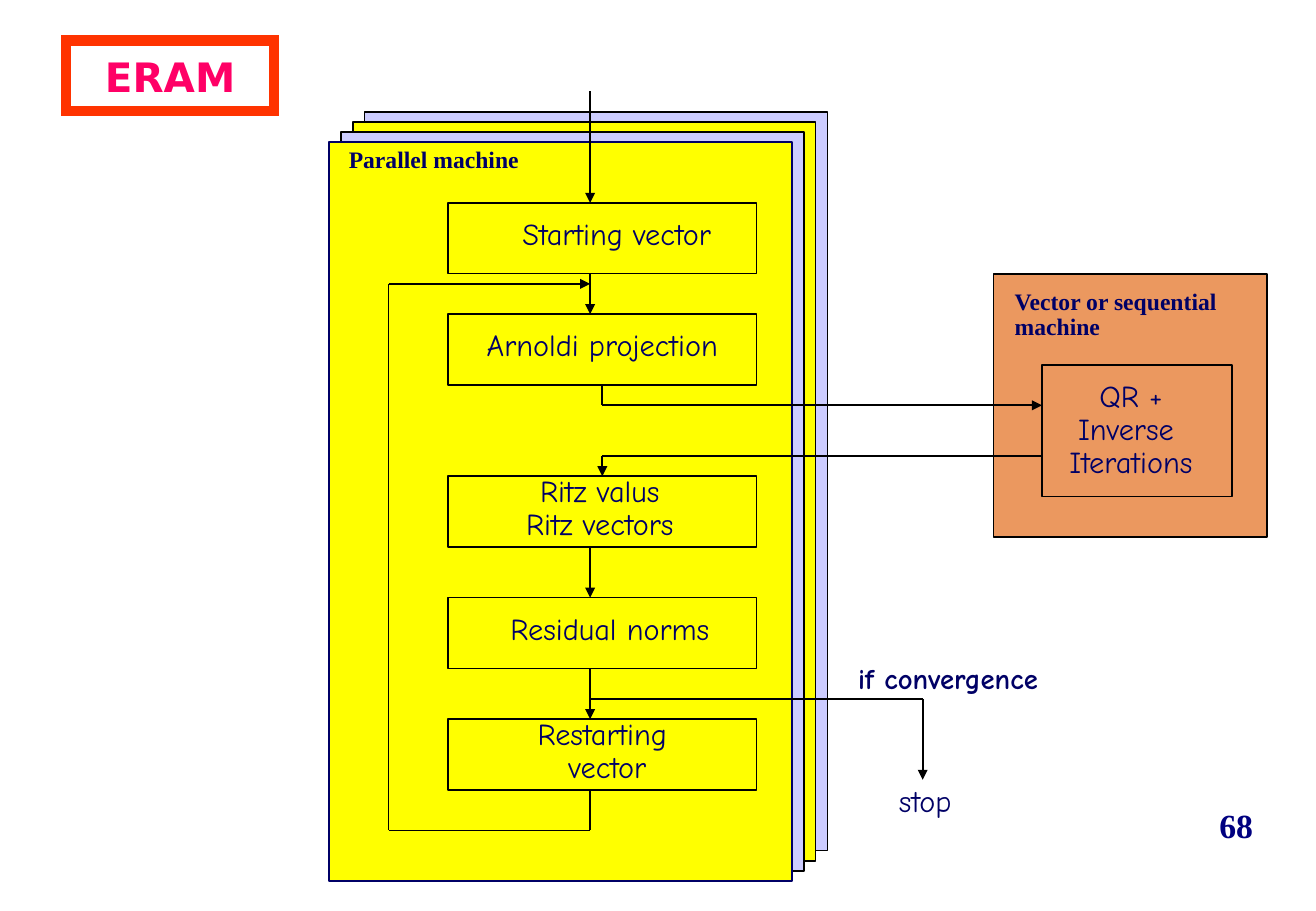
import dataclasses
import itertools

import pptx
import pptx.dml.color
import pptx.enum.shapes
import pptx.enum.text
import pptx.oxml.ns
import pptx.util
from lxml import etree

Pt = pptx.util.Pt
ALIGN = pptx.enum.text.PP_ALIGN
RECTANGLE = pptx.enum.shapes.MSO_SHAPE.RECTANGLE
STRAIGHT = pptx.enum.shapes.MSO_CONNECTOR.STRAIGHT
TOP, BOTTOM = 0, 2


@dataclasses.dataclass(frozen=True)
class Theme:
    black: str = "000000"
    ink: str = "000066"
    number_ink: str = "000080"
    title_ink: str = "FF0066"
    title_frame: str = "FF3300"
    front: str = "FFFF00"
    behind: str = "CCCCFF"
    sequential: str = "EB985F"
    step: dict = dataclasses.field(
        default_factory=lambda: {"name": "Comic Neue", "size": Pt(18)})
    condition: dict = dataclasses.field(
        default_factory=lambda: {"name": "Comic Neue", "size": Pt(17), "bold": True})
    machine: dict = dataclasses.field(
        default_factory=lambda: {"name": "Times New Roman", "size": Pt(14), "bold": True})
    number: dict = dataclasses.field(
        default_factory=lambda: {"name": "Times New Roman", "size": Pt(20), "bold": True})
    title: dict = dataclasses.field(
        default_factory=lambda: {"name": "DejaVu Sans", "size": Pt(24), "bold": True})


@dataclasses.dataclass(frozen=True)
class Box:
    left: float
    top: float
    width: float
    height: float

    def inner(self, dx, dy, width, height):
        return Box(self.left + dx, self.top + dy, width, height)

    def lengths(self):
        return [Pt(value) for value in dataclasses.astuple(self)]


THEME = Theme()


def rgb(code):
    return pptx.dml.color.RGBColor.from_string(code)


def write(shape, text, style, color=THEME.ink, align=ALIGN.CENTER,
          spacing=0.9, insets=(7.2, 3.6, 7.2, 3.6)):
    """Fill the shape with text; insets run left, top, right, bottom."""
    frame = shape.text_frame
    frame.text = text
    frame.word_wrap = True
    frame.auto_size = pptx.enum.text.MSO_AUTO_SIZE.NONE
    frame.vertical_anchor = pptx.enum.text.MSO_ANCHOR.MIDDLE
    for side, inset in zip(("left", "top", "right", "bottom"), insets):
        setattr(frame, f"margin_{side}", Pt(inset))
    for paragraph in frame.paragraphs:
        paragraph.alignment = align
        paragraph.line_spacing = spacing
        for attribute, value in style.items():
            setattr(paragraph.font, attribute, value)
        paragraph.font.color.rgb = rgb(color)


def label(slide, box, text, style, **options):
    write(slide.shapes.add_textbox(*box.lengths()), text, style, **options)


def panel(slide, box, fill=None, line=THEME.black):
    shape = slide.shapes.add_shape(RECTANGLE, *box.lengths())
    shape.shadow.inherit = False
    if fill:
        shape.fill.solid()
        shape.fill.fore_color.rgb = rgb(fill)
    else:
        shape.fill.background()
    shape.line.color.rgb = rgb(line)
    shape.line.width = Pt(1)
    return shape


def step(slide, box, text, shift, lift=3):
    """Outlined box whose text centre moves right by shift, up by half of lift."""
    shape = panel(slide, box)
    write(shape, text, THEME.step,
          insets=(max(2 * shift, 0), 0, max(-2 * shift, 0), lift))
    return shape


def route(slide, *points):
    """Straight segments through the points, with an arrowhead at the last."""
    segments = []
    for start, end in itertools.pairwise(points):
        segment = slide.shapes.add_connector(
            STRAIGHT, *(Pt(value) for value in (*start, *end)))
        segment.line.color.rgb = rgb(THEME.black)
        segment.line.width = Pt(1)
        etree.SubElement(segment._element.spPr, pptx.oxml.ns.qn("a:effectLst"))
        segments.append(segment)
    etree.SubElement(segments[-1].line._get_or_add_ln(),
                     pptx.oxml.ns.qn("a:tailEnd"), type="triangle")
    return segments


def title(slide, box):
    heading = slide.shapes.title
    heading.left, heading.top, heading.width, heading.height = box.lengths()
    heading.line.color.rgb = rgb(THEME.title_frame)
    heading.line.width = Pt(6)
    etree.SubElement(heading.line._get_or_add_ln(),
                     pptx.oxml.ns.qn("a:miter"), lim="800000")
    write(heading, "ERAM", THEME.title, color=THEME.title_ink, spacing=1.0)


def parallel_machine(slide, box):
    """Stacked machine with its steps; returns the Arnoldi and Ritz boxes."""
    for depth, fill in ((3, THEME.behind), (2, THEME.front), (1, THEME.behind)):
        panel(slide, box.inner(7 * depth, -6 * depth, box.width, box.height), fill)
    panel(slide, box, THEME.front, THEME.ink)
    label(slide, box.inner(4.5, 0, 140, 22), "Parallel machine",
          THEME.machine, align=ALIGN.LEFT)

    step_height = 42
    steps = [
        (36, " Starting vector", 5.5),
        (102, "Arnoldi projection", 0),
        (198, "Ritz valus\nRitz vectors", -1.5),
        (270, "Residual norms", 4.5),
        (342, "Restarting \nvector", 3),
    ]
    starting, arnoldi, ritz, residual, restarting = [
        step(slide, box.inner(70.5, dy, 183, step_height), text, shift)
        for dy, text, shift in steps]

    flow_x, loop_x = box.left + 154.75, box.left + 35.25
    tops = [box.top + dy for dy, _, _ in steps]
    route(slide, (flow_x, box.top - 30), (flow_x, tops[0]))
    for before, after in ((0, 1), (2, 3), (3, 4)):
        route(slide, (flow_x, tops[before] + step_height), (flow_x, tops[after]))
    loop_bottom, loop_top = box.top + 408, box.top + 84
    route(slide, (flow_x, tops[4] + step_height), (flow_x, loop_bottom),
          (loop_x, loop_bottom), (loop_x, loop_top), (flow_x, loop_top))
    return arnoldi, ritz


def sequential_machine(slide, box, arnoldi, ritz):
    """Second machine and its exchange with the Arnoldi and Ritz steps."""
    panel(slide, box, THEME.sequential)
    label(slide, box.inner(5.5, 6, 150, 37.5), "Vector or sequential\nmachine",
          THEME.machine, align=ALIGN.LEFT)
    solver = box.inner(28.75, 54, 112.5, 78)
    step(slide, solver, "QR +\nInverse \nIterations", -3.5, lift=0)

    step_x = (arnoldi.left + arnoldi.width / 2) / Pt(1)
    arnoldi_bottom = (arnoldi.top + arnoldi.height) / Pt(1)
    send_y, return_y = solver.top + 24, solver.top + 54
    sending = route(slide, (step_x, arnoldi_bottom), (step_x, send_y),
                    (solver.left, send_y))
    sending[0].begin_connect(arnoldi, BOTTOM)
    returning = route(slide, (solver.left, return_y), (step_x, return_y),
                      (step_x, ritz.top / Pt(1)))
    returning[-1].end_connect(ritz, TOP)


def convergence_exit(slide, box):
    """Branch along the top of the box, then down its right side to stop."""
    right = box.left + box.width
    route(slide, (box.left, box.top), (right, box.top),
          (right, box.top + box.height))
    label(slide, Box(right - 55, box.top - 24, 140, 26), "if convergence",
          THEME.condition)
    label(slide, Box(right - 28.5, box.top + box.height, 60, 26.5), "stop",
          THEME.step)


def main():
    presentation = pptx.Presentation()
    presentation.slide_width = Pt(780.48)
    presentation.slide_height = Pt(540)
    slide = presentation.slides.add_slide(presentation.slide_layouts[5])
    title(slide, Box(39, 24, 123.75, 42))
    arnoldi, ritz = parallel_machine(slide, Box(195.25, 84.25, 274.5, 438))
    sequential_machine(slide, Box(589.25, 162.25, 162.25, 156), arnoldi, ritz)
    convergence_exit(slide, Box(350, 414.25, 197.25, 48))
    label(slide, Box(630.25, 474.25, 120, 30), "68", THEME.number,
          color=THEME.number_ink, align=ALIGN.RIGHT, spacing=1.0)
    presentation.save("out.pptx")


if __name__ == "__main__":
    main()
